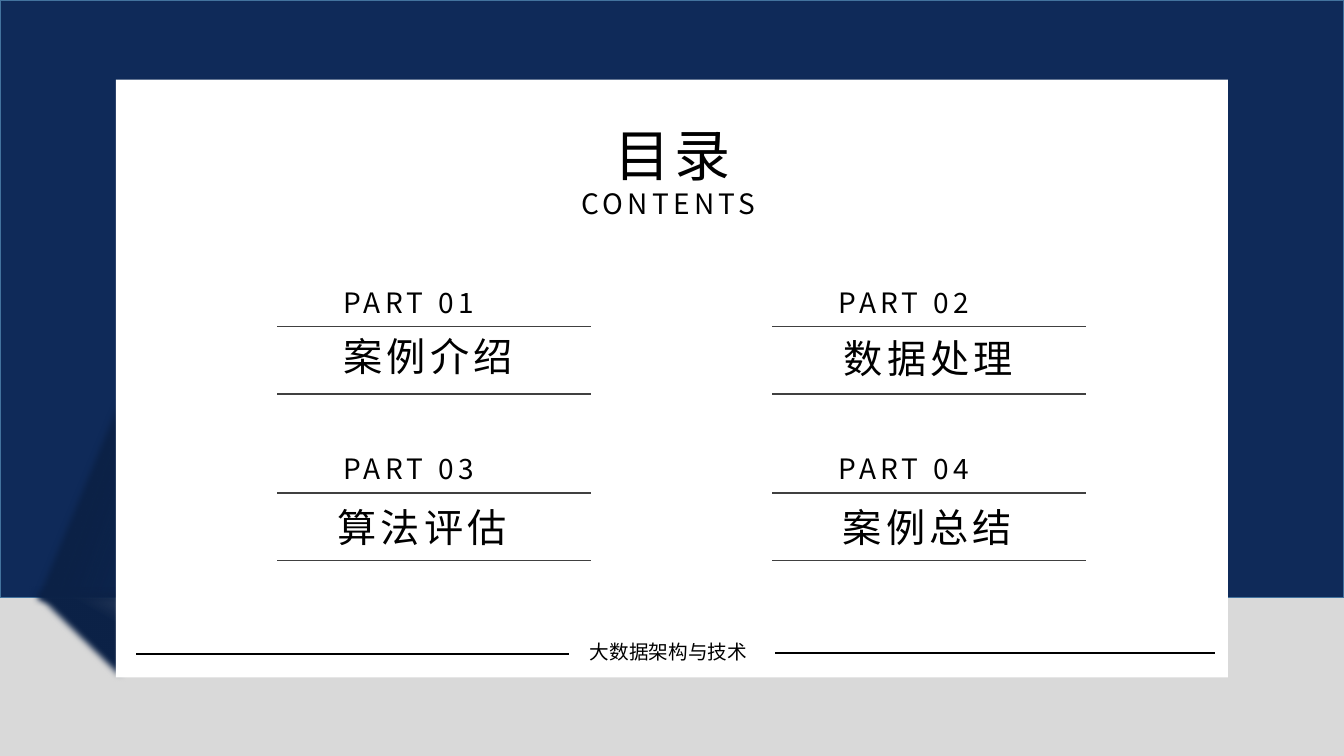
import dataclasses

import lxml.etree
import pptx
import pptx.dml.color
import pptx.enum.shapes
import pptx.enum.text
import pptx.oxml
import pptx.oxml.ns
import pptx.util

Inches = pptx.util.Inches
Pt = pptx.util.Pt
Align = pptx.enum.text.PP_ALIGN
Shape = pptx.enum.shapes.MSO_SHAPE
qn = pptx.oxml.ns.qn


@dataclasses.dataclass(frozen=True)
class Theme:
    font: str = "Noto Sans CJK SC"
    back: str = "D9D9D9"
    navy: str = "0F2A59"
    edge: str = "43739E"
    fold: str = "0C2247"
    panel: str = "FFFFFF"
    text: str = "000000"
    rule: str = "404040"
    title: int = 40
    name: int = 28
    label: int = 20
    foot: int = 14


THEME = Theme()


def color(code):
    return pptx.dml.color.RGBColor.from_string(code)


def assign(item, values):
    for key, value in values.items():
        setattr(item, key, value)


def box(left, top, width, height):
    return [Inches(n) for n in (left, top, width, height)]


def block(shapes, kind, place, fill, edge=None):
    shape = shapes.add_shape(kind, *box(*place))
    shape.shadow.inherit = False
    shape.fill.solid()
    shape.fill.fore_color.rgb = color(fill)
    if edge:
        shape.line.color.rgb = color(edge)
        shape.line.width = Pt(1)
    else:
        shape.line.fill.background()
    return shape


def fold(shapes, place, turn, angle, stops):
    shape = block(shapes, Shape.RIGHT_TRIANGLE, place, THEME.fold)
    shape.rotation = turn
    marks = "".join(
        f'<a:gs pos="{pos * 1000}"><a:srgbClr val="{THEME.fold}">'
        f'<a:alpha val="{alpha * 1000}"/></a:srgbClr></a:gs>'
        for pos, alpha in stops
    )
    grad = pptx.oxml.parse_xml(
        f'<a:gradFill {pptx.oxml.ns.nsdecls("a")} rotWithShape="1">'
        f'<a:gsLst>{marks}</a:gsLst><a:lin ang="{angle * 60000}" scaled="0"/>'
        "</a:gradFill>"
    )
    props = shape.element.spPr
    props.replace(props.find(qn("a:solidFill")), grad)
    soft = lxml.etree.SubElement(props.find(qn("a:effectLst")), qn("a:softEdge"))
    soft.set("rad", str(Pt(5)))


def write(shape, text, size, align=Align.LEFT, wrap=True, gap=3):
    frame = shape.text_frame
    assign(frame, {
        "text": text,
        "word_wrap": wrap,
        "auto_size": pptx.enum.text.MSO_AUTO_SIZE.SHAPE_TO_FIT_TEXT,
        "vertical_anchor": pptx.enum.text.MSO_ANCHOR.TOP,
    })
    para = frame.paragraphs[0]
    assign(para, {"alignment": align, "space_before": Pt(0)})
    run = para.runs[0]
    assign(run.font, {"name": THEME.font, "size": Pt(size)})
    run.font.color.rgb = color(THEME.text)
    props = run.font._element
    if gap:
        props.set("spc", str(gap * 100))
    lxml.etree.SubElement(props, qn("a:ea")).set("typeface", THEME.font)


def label(shapes, place, text, size, **format):
    write(shapes.add_textbox(*box(*place)), text, size, **format)


def rule(shapes, left, top, width, tint, weight):
    line = shapes.add_connector(
        pptx.enum.shapes.MSO_CONNECTOR.STRAIGHT,
        *box(left, top, left + width, top),
    )
    line.line.color.rgb = color(tint)
    line.line.width = Pt(weight)
    lxml.etree.SubElement(line._element.spPr, qn("a:effectLst"))


def part(slide, index, name, shift, drop):
    row, col = divmod(index, 2)
    left, top = 2.75 + col * 4.91, 3.24 + row * 1.65
    group = slide.shapes.add_group_shape().shapes
    label(group, (left + shift, top + drop, 1.94, 0.57), name, THEME.name, wrap=False)
    for down in (0, 0.67):
        rule(group, left, top + down, 3.11, THEME.rule, 1)
    label(group, (left + 0.56, top - 0.46, 1.99, 0.44),
          f"PART {index + 1:02}", THEME.label, align=Align.JUSTIFY)


def head(slide):
    title = slide.shapes.title
    places = box(5.99, 1.15, 1.41, 0.77)
    assign(title, dict(zip(("left", "top", "width", "height"), places)))
    write(title, "目录", THEME.title, wrap=False)
    title.element.getparent().append(title.element)
    label(slide.shapes, (5.67, 1.8, 1.99, 0.44), "CONTENTS", THEME.label,
          align=Align.JUSTIFY)


def foot(slide):
    for left, top, width in ((1.35, 6.49, 4.29), (7.69, 6.48, 4.36)):
        rule(slide.shapes, left, top, width, THEME.text, 1.5)
    label(slide.shapes, (5.64, 6.3, 1.98, 0.34), "大数据架构与技术", THEME.foot,
          align=Align.CENTER, gap=0)


def main():
    deck = pptx.Presentation()
    assign(deck, {"slide_width": Inches(13.33), "slide_height": Inches(7.5)})
    slide = deck.slides.add_slide(deck.slide_layouts[5])
    slide.background.fill.solid()
    slide.background.fill.fore_color.rgb = color(THEME.back)
    shapes = slide.shapes
    block(shapes, Shape.RECTANGLE, (0, 0, 13.33, 5.93), THEME.navy, THEME.edge)
    fold(shapes, (-0.46, 4.31, 2.42, 1), 270, 290, ((7, 70), (39, 100)))
    fold(shapes, (0.15, 5.82, 1.1, 1.08), 180, 300, ((0, 80), (25, 100)))
    block(shapes, Shape.RECTANGLE, (1.15, 0.79, 11.03, 5.93), THEME.panel)
    head(slide)
    parts = (
        ("案例介绍", 0.56, 0.01),
        ("数据处理", 0.61, 0.03),
        ("算法评估", 0.5, 0.05),
        ("案例总结", 0.6, 0.05),
    )
    for index, entry in enumerate(parts):
        part(slide, index, *entry)
    foot(slide)
    deck.save("out.pptx")


if __name__ == "__main__":
    main()
